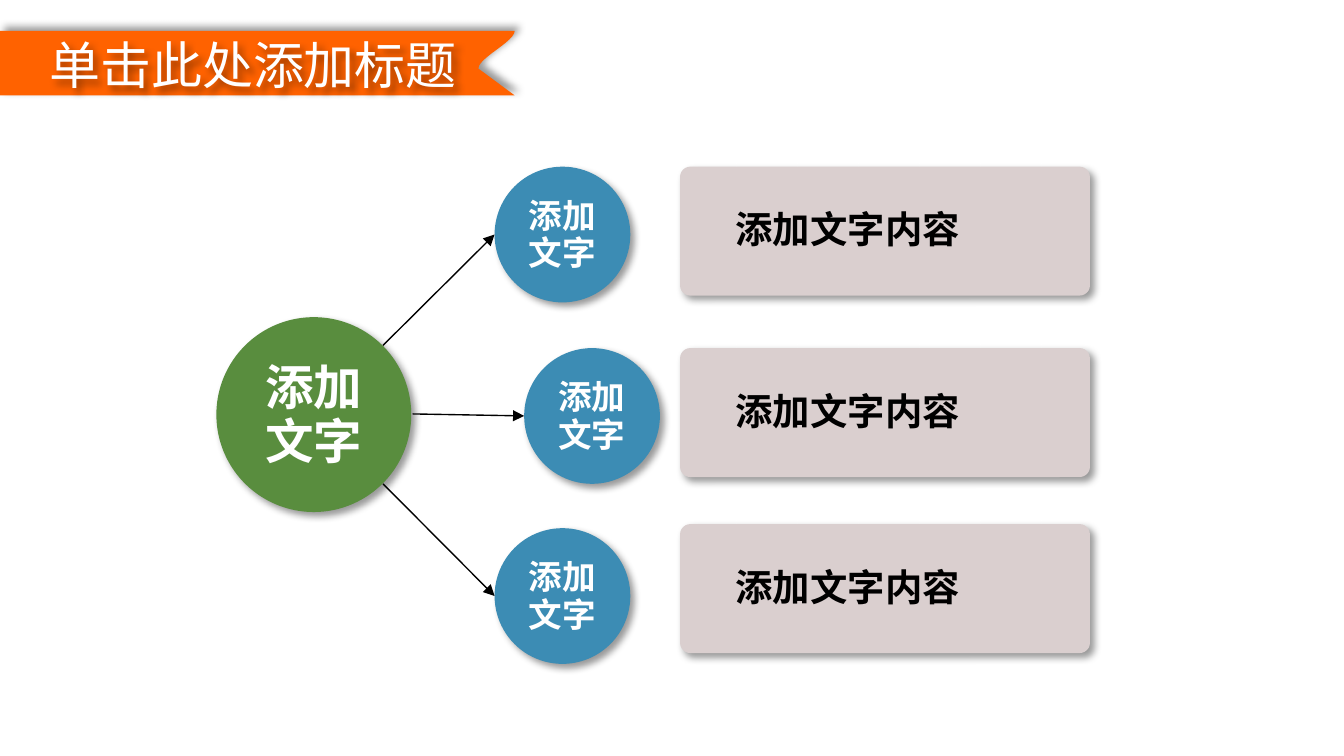
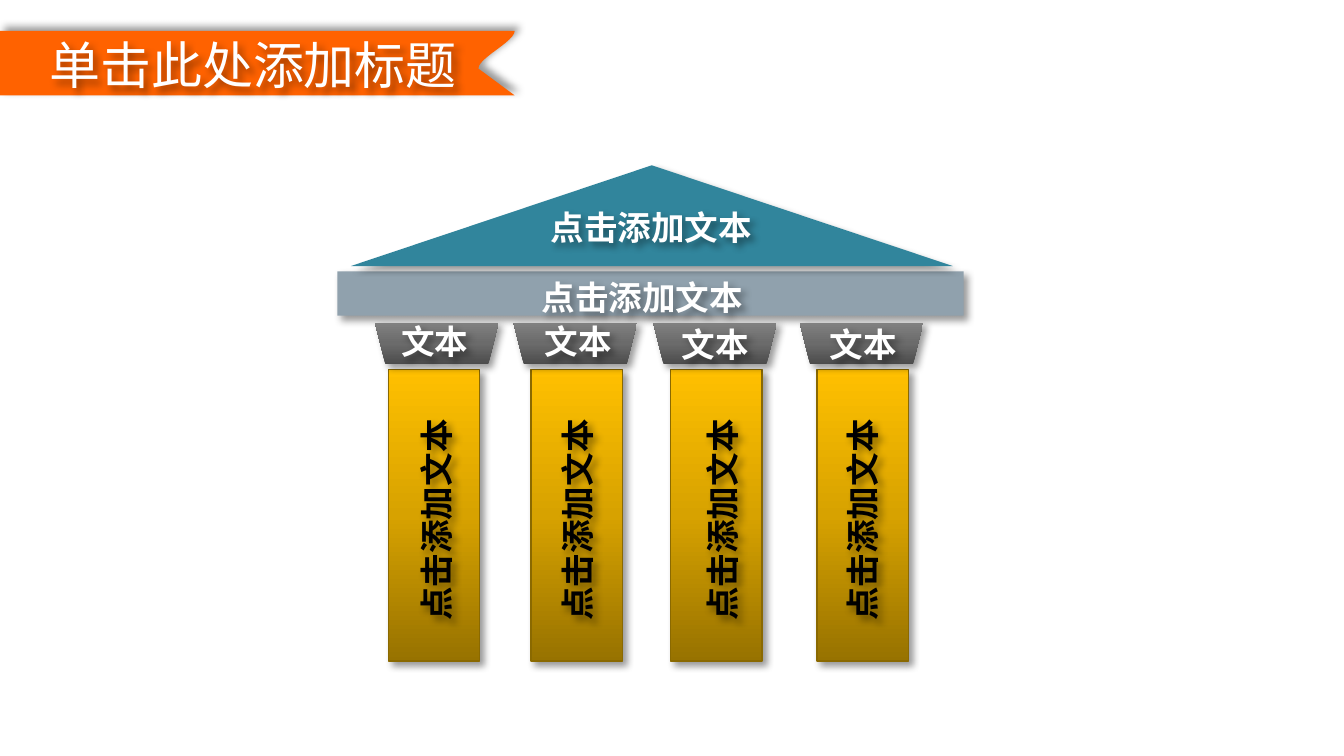
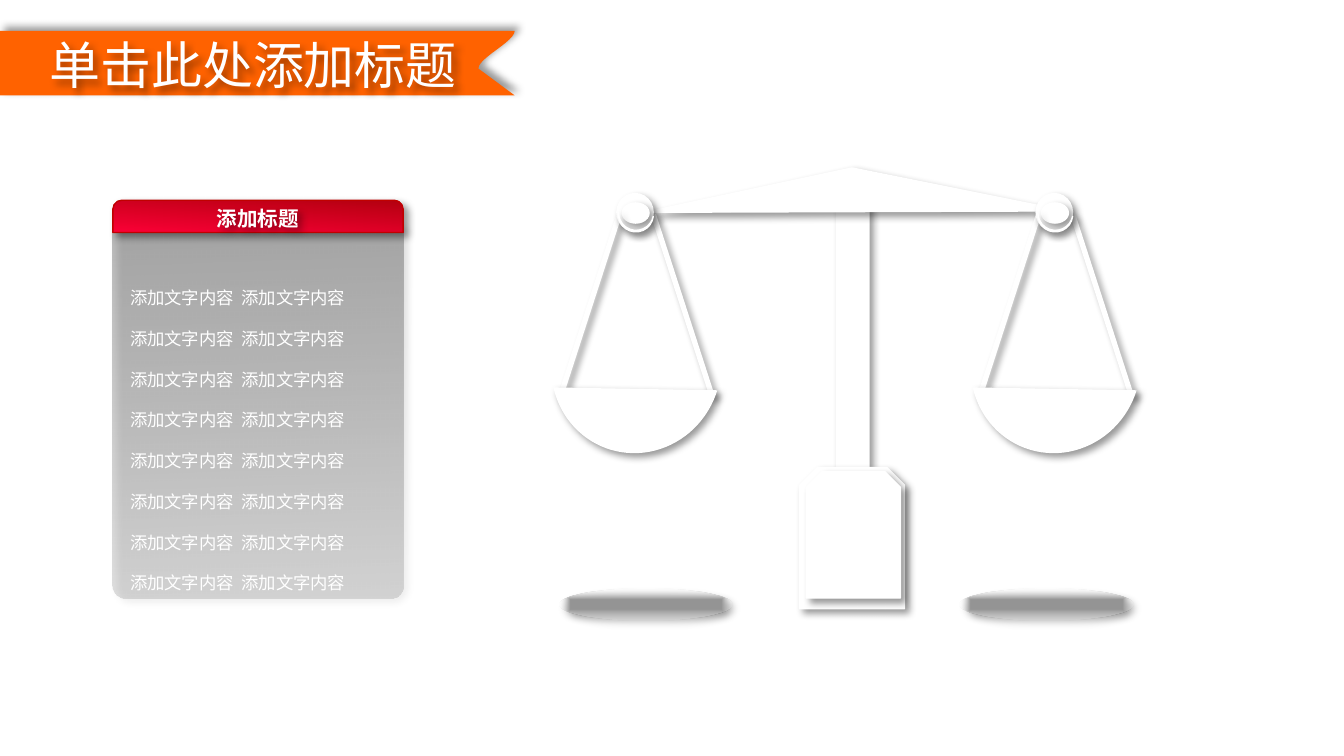
from dataclasses import dataclass

from lxml import etree
from pptx import Presentation
from pptx.dml.color import RGBColor
from pptx.enum.shapes import MSO_CONNECTOR, MSO_SHAPE
from pptx.enum.text import MSO_ANCHOR, MSO_AUTO_SIZE, PP_ALIGN
from pptx.oxml.ns import qn
from pptx.util import Inches, Pt

OVAL, RECT, ROUND = MSO_SHAPE.OVAL, MSO_SHAPE.RECTANGLE, MSO_SHAPE.ROUNDED_RECTANGLE
TRAP, CAN, MOON, CHORD = MSO_SHAPE.TRAPEZOID, MSO_SHAPE.CAN, MSO_SHAPE.MOON, MSO_SHAPE.CHORD
SNIP, TOP_ROUND = MSO_SHAPE.SNIP_2_SAME_RECTANGLE, MSO_SHAPE.ROUND_2_SAME_RECTANGLE
STRAIGHT = MSO_CONNECTOR.STRAIGHT
LEFT, CENTER = PP_ALIGN.LEFT, PP_ALIGN.CENTER
TOP, MIDDLE = MSO_ANCHOR.TOP, MSO_ANCHOR.MIDDLE
FIXED, GROW = MSO_AUTO_SIZE.NONE, MSO_AUTO_SIZE.SHAPE_TO_FIT_TEXT
COLS, ROWS = 100, 56.25
CELL = Inches(0.1)


@dataclass(frozen=True)
class Grad:
    stops: tuple  # (position %, colour, opacity %)
    angle: int | None = None  # None runs from the centre outwards


@dataclass(frozen=True)
class Theme:
    sans: str = "Noto Sans CJK SC"
    latin: str = "Arial"
    white: str = "FFFFFF"
    black: str = "000000"
    ribbon: str = "FF6200"
    hub: str = "598D3E"
    node: str = "3C8CB4"
    card: str = "DACFCF"
    roof: str = "31859C"
    slab: str = "90A1AD"
    edge: str = "8A6900"
    rim: str = "C00000"
    gold: Grad = Grad(((0, "977200", 100), (50, "D7A200", 100), (100, "FFC000", 100)), 270)
    steel: Grad = Grad(((0, "4C4C4C", 100), (50, "6B6B6B", 100), (100, "808080", 100)), 90)
    red: Grad = Grad(((0, "FB0036", 100), (100, "B40010", 100)), 274)
    smoke: Grad = Grad(((0, "404040", 36), (100, "404040", 16)), 2)
    shade: Grad = Grad(((30, "959595", 100), (100, "FFFFFF", 0)))
    title: float = 27.3
    big: int = 26
    mid: int = 20
    base: int = 18
    sub: int = 16
    small: int = 11
    hair: float = 0.75


def emu(*cells):
    return [round(c * CELL) for c in cells]


def put(item, **vals):
    for key, val in vals.items():
        setattr(item, key, val)


def node(top, tag, **vals):
    item = etree.SubElement(top, qn(tag))
    for key, val in vals.items():
        item.set(key, str(val))
    return item


def tint(top, color, alpha):
    clr = node(top, "a:srgbClr", val=color)
    if alpha < 100:
        node(clr, "a:alpha", val=alpha * 1000)


class Deck:
    def __init__(self, theme):
        self.theme = theme
        self.prs = Presentation()
        put(self.prs, slide_width=COLS * CELL, slide_height=round(ROWS * CELL))

    def page(self, title):
        t = self.theme
        self.slide = self.prs.slides.add_slide(self.prs.slide_layouts[5])
        self.group(False)
        curve = []
        for i in range(13):
            s = i / 12
            bend = 3 * s * s - 2 * s ** 3
            rise = 3 * s * (1 - s) ** 2 * 3.1 + 3 * s * s * (1 - s) * 4.3
            curve.append((38.3 - 2.7 * bend, 2.3 * (1 - s) ** 3 + rise + 5.1 * s ** 3))
        self.free([(0, 2.3), *curve, (38.3, 7.1), (0, 7.1)], t.ribbon, turn=315)
        head = self.slide.shapes.title
        self.slide.shapes._spTree.append(head._element)
        self.place(head, 2.7, 2, 36.3, 6.2)
        self.shadow(head)
        self.say(head, [title], t.title, t.white, bold=False)

    def group(self, on=True):
        """Send the next elements to a new group, or back to the slide."""
        shapes = self.slide.shapes
        self.shapes = shapes.add_group_shape().shapes if on else shapes

    def place(self, shape, *at):
        for key, val in zip(("left", "top", "width", "height"), emu(*at)):
            setattr(shape, key, val)

    def shadow(self, shape, turn=45):
        shape.shadow.inherit = False
        fx = shape._element.spPr.find(qn("a:effectLst"))
        drop = node(fx, "a:outerShdw", blurRad=Pt(4), dist=Pt(3), dir=turn * 60000,
                    algn="tl", rotWithShape=0)
        tint(drop, self.theme.black, 40)

    def paint(self, shape, fill, line=None, turn=45):
        if isinstance(fill, Grad):
            shape.fill.gradient()
            grad = shape._element.spPr.find(qn("a:gradFill"))
            grad[:] = []
            stops = node(grad, "a:gsLst")
            for pos, color, alpha in fill.stops:
                tint(node(stops, "a:gs", pos=pos * 1000), color, alpha)
            if fill.angle is None:
                way = node(grad, "a:path", path="shape")
                node(way, "a:fillToRect", **dict.fromkeys("ltrb", 50000))
            else:
                node(grad, "a:lin", ang=fill.angle * 60000, scaled=0)
        else:
            shape.fill.solid()
            shape.fill.fore_color.rgb = RGBColor.from_string(fill)
        if line:
            shape.line.color.rgb = RGBColor.from_string(line)
            shape.line.width = Pt(self.theme.hair)
        else:
            shape.line.fill.background()
        self.shadow(shape, turn)

    def shape(self, kind, at, fill, line=None, adj=(), rot=0, flip=""):
        item = self.shapes.add_shape(kind, *emu(*at))
        for i, val in enumerate(adj):
            item.adjustments[i] = val
        item.rotation = rot
        for axis in flip:
            item._element.spPr.find(qn("a:xfrm")).set("flip" + axis, "1")
        self.paint(item, fill, line)
        return item

    def free(self, dots, fill, line=None, turn=45):
        dots = [emu(*dot) for dot in dots]
        pen = self.shapes.build_freeform(*dots[0])
        pen.add_line_segments(dots[1:], close=True)
        self.paint(pen.convert_to_shape(), fill, line, turn)

    def arrow(self, start, end):
        item = self.shapes.add_connector(STRAIGHT, *emu(*start, *end))
        item.line.color.rgb = RGBColor.from_string(self.theme.black)
        item.line.width = Pt(self.theme.hair)
        props = item._element.spPr
        node(props.find(qn("a:ln")), "a:tailEnd", type="triangle")
        node(props, "a:effectLst")

    def say(self, shape, lines, size, color, bold=True, font=None, align=LEFT,
            anchor=TOP, fit=FIXED, pad=(1, 0.5, 1, 0.5), gap=1, drop=0, tab=0, after=0):
        font = font or self.theme.sans
        frame = shape.text_frame
        put(frame, word_wrap=True, auto_size=fit, vertical_anchor=anchor)
        for side, val in zip(("left", "top", "right", "bottom"), emu(*pad)):
            setattr(frame, "margin_" + side, val)
        for i, line in enumerate(lines):
            para = frame.add_paragraph() if i else frame.paragraphs[0]
            put(para, alignment=align, line_spacing=gap, space_before=Pt(0),
                space_after=Pt(after))
            if tab:
                tabs = node(para._p.get_or_add_pPr(), "a:tabLst")
                node(tabs, "a:tab", pos=emu(tab)[0], algn="l")
            run = para.add_run()
            run.text = line
            put(run.font, size=Pt(size), bold=bold, name=font)
            run.font.color.rgb = RGBColor.from_string(color)
            props = run._r.get_or_add_rPr()
            node(props, "a:ea", typeface=font)
            if drop:
                props.set("baseline", str(drop * 1000))

    def label(self, at, lines, size, color, rot=0, glow=True, **style):
        item = self.shapes.add_textbox(*emu(*at))
        item.rotation = rot
        if glow:
            self.shadow(item)
        self.say(item, lines, size, color, fit=GROW, **style)


def tree(deck):
    t = deck.theme
    deck.page("单击此处添加标题")

    def disc(x, y, side, fill, size):
        item = deck.shape(OVAL, (x, y, side, side), fill)
        deck.say(item, ["添加文字"], size, t.white, font=t.latin, align=CENTER,
                 anchor=MIDDLE, pad=(1, 0.7, 1, 0.5), gap=0.93)

    disc(16.1, 23.6, 14.5, t.hub, t.big)
    rows = ((36.8, 12.4, 12.4, (28.5, 25.7)),
            (39, 25.9, 25.9, (30.7, 30.8)),
            (36.8, 39.3, 39, (28.5, 36)))
    for x, y, top, start in rows:
        disc(x, y, 10.1, t.node, t.base)
        deck.arrow(start, (x, y + 5.05))
        card = deck.shape(ROUND, (50.6, top, 30.5, 9.6), t.card, adj=[0.08])
        deck.say(card, ["添加文字内容"], t.mid, t.black, font=t.latin,
                 anchor=MIDDLE, pad=(3.9, -0.2, 1, -0.2), gap=0.93)


def temple(deck):
    t = deck.theme
    deck.page("单击此处添加标题")
    deck.shape(RECT, (25.1, 20.2, 46.6, 3.3), t.slab)
    deck.free([(48.5, 12.3), (26.1, 19.8), (70.9, 19.8)], t.roof)
    words = ["点击添加文本"]
    for at in ((35.6, 20.1, 24.4, 4), (39, 14.9, 18.9, 4)):
        deck.label(at, words, t.base, t.white, align=CENTER)
    posts = ((28.9, 27.9, 23.4, 28.2, 23.4), (39.5, 38.2, 33.9, 38.9, 23.4),
             (49.9, 48.6, 44.7, 49.1, 23.6), (60.8, 59.5, 55.1, 60.1, 23.6))
    for post, cap, text, tag, row in posts:
        deck.shape(RECT, (post, 27.5, 6.8, 21.7), t.gold, t.edge)
        deck.label((text, 36.7, 18.1, 4), words, t.base, t.black, rot=270, align=CENTER)
        deck.shape(TRAP, (cap, 24, 9.2, 3.1), t.steel, rot=180)
        deck.label((tag, row, 8.3, 4), ["文本"], t.base, t.white, align=CENTER)


def scale(deck):
    t = deck.theme
    white = dict(fill=t.white, line=t.white)
    deck.page("单击此处添加标题")
    deck.shape(CAN, (62.2, 13.6, 2.5, 24.6), t.white, adj=[0.07])
    for x in (41.6, 71.4):
        deck.shape(OVAL, (x, 43.8, 12.9, 2.4), t.shade)
    for at in ((59.5, 34.8, 7.8, 10.5), (60, 35.1, 7, 9.4)):
        deck.shape(SNIP, at, **white)

    deck.group()
    deck.free([(48, 15.8), (79.3, 15.7), (63.4, 12.5)], **white)
    for x in (40.8, 72):
        deck.shape(RECT, (x + 3, 15.7, 0.3, 14.1), rot=18.2, flip="V", **white)
        deck.shape(RECT, (x + 9.8, 15.7, 0.3, 14.1), rot=341.8, flip="HV", **white)
        deck.shape(CHORD, (x, 20.9, 13.1, 12.6), t.white, adj=[52, 140.95], rot=290.3)
        deck.shape(OVAL, (x + 5.1, 14.4, 2.7, 2.8), **white)
        deck.shape(OVAL, (x + 5.5, 15.1, 2, 1.5), **white)
        deck.shape(MOON, (x + 5.8, 15.3, 1.3, 2.6), adj=[0.09], rot=276.2, **white)

    deck.group()
    deck.shape(ROUND, (5.1, 19.6, 28.2, 21.6), t.smoke, adj=[0.05], rot=270, flip="H")
    deck.shape(TOP_ROUND, (8.4, 14.9, 21.6, 2.4), t.red, t.rim, adj=[0.28, 0])
    deck.label((13.7, 14.8, 11, 2.9), ["添加标题"], t.small, t.white, align=CENTER, after=6)
    deck.label((8.7, 19.4, 21.5, 28.2), ["添加文字内容\t添加文字内容"] * 8, t.sub, t.white,
               glow=False, bold=False, drop=-25, tab=8.3)


def main():
    deck = Deck(Theme())
    for draw in (tree, temple, scale):
        draw(deck)
    deck.prs.save("out.pptx")


if __name__ == "__main__":
    main()
